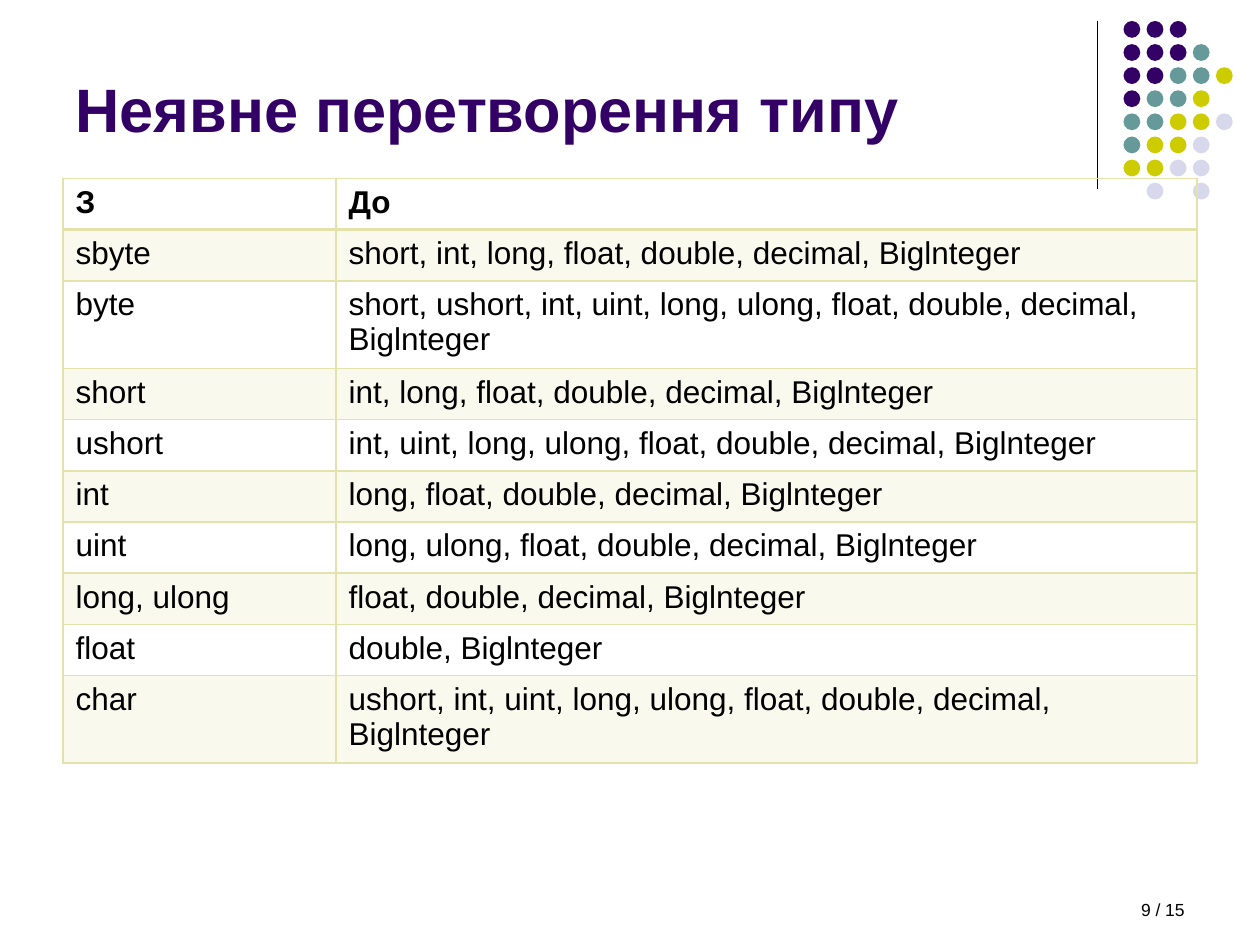
"""Build the slide on implicit type conversion with its table and dot ornament."""
import lxml.etree
import pptx
import pptx.dml.color
import pptx.enum.shapes
import pptx.enum.text
import pptx.oxml
import pptx.oxml.ns
import pptx.util

COLORS = {
    "purple": "330066",
    "teal": "669999",
    "yellow": "CCCC00",
    "lavender": "D8D8EC",
    "border": "E2E2AA",
    "black": "000000",
}
DOT_COLORS = {"P": "purple", "T": "teal", "Y": "yellow", "L": "lavender"}
DOT_ROWS = ["PPP", "PPPT", "PPTTY", "PTTY", "TTYYL", "TYYL", "YYLL", " L L"]
CONVERSIONS = [
    ("З", "До"),
    ("sbyte", "short, int, long, float, double, decimal, Biglnteger"),
    ("byte", "short, ushort, int, uint, long, ulong, float, double, decimal, Biglnteger"),
    ("short", "int, long, float, double, decimal, Biglnteger"),
    ("ushort", "int, uint, long, ulong, float, double, decimal, Biglnteger"),
    ("int", "long, float, double, decimal, Biglnteger"),
    ("uint", "long, ulong, float, double, decimal, Biglnteger"),
    ("long, ulong", "float, double, decimal, Biglnteger"),
    ("float", "double, Biglnteger"),
    ("char", "ushort, int, uint, long, ulong, float, double, decimal, Biglnteger"),
]
TWO_LINE_TYPES = ("byte", "char")

presentation = pptx.Presentation()
presentation.slide_width = pptx.util.Inches(10)
presentation.slide_height = pptx.util.Inches(7.5)
GRID = presentation.slide_width / 60


def grid(*steps):
    """Turn counts of grid steps into lengths."""
    return [pptx.util.Emu(round(step * GRID)) for step in steps]


def add_text(paragraph, text, size, color, bold=False):
    """Add one formatted run to a paragraph."""
    run = paragraph.add_run()
    run.text = text
    run.font.name = "Arial"
    run.font.size = pptx.util.Pt(size)
    run.font.bold = bold
    run.font.color.rgb = pptx.dml.color.RGBColor.from_string(COLORS[color])


slide = presentation.slides.add_slide(presentation.slide_layouts[5])

title = slide.shapes.title
title.left, title.top, title.width, title.height = grid(3, 2, 49.5, 5.2)
title.text_frame.vertical_anchor = pptx.enum.text.MSO_ANCHOR.BOTTOM
title.text_frame.auto_size = pptx.enum.text.MSO_AUTO_SIZE.NONE
title_paragraph = title.text_frame.paragraphs[0]
title_paragraph.alignment = pptx.enum.text.PP_ALIGN.LEFT
add_text(title_paragraph, "Неявне перетворення типу", 35, "purple", bold=True)

divider = slide.shapes.add_connector(
    pptx.enum.shapes.MSO_CONNECTOR.STRAIGHT, *grid(52.25, 1, 52.25, 9)
)
divider.line.color.rgb = pptx.dml.color.RGBColor.from_string(COLORS["black"])
divider.line.width = pptx.util.Pt(0.75)
lxml.etree.SubElement(divider.element.spPr, pptx.oxml.ns.qn("a:effectLst"))

dots = slide.shapes.add_group_shape()
for row, pattern in enumerate(DOT_ROWS):
    for column, code in enumerate(pattern):
        if code == " ":
            continue
        dot = dots.shapes.add_shape(
            pptx.enum.shapes.MSO_SHAPE.OVAL,
            *grid(53.5 + 1.1 * column, 1 + 1.1 * row, 0.8, 0.8),
        )
        dot.shadow.inherit = False
        dot.fill.solid()
        dot.fill.fore_color.rgb = pptx.dml.color.RGBColor.from_string(
            COLORS[DOT_COLORS[code]]
        )
        dot.line.fill.background()

table = slide.shapes.add_table(
    len(CONVERSIONS), 2, *grid(3, 8.5, 54, 27.86)
).table
table.first_row = False
table.horz_banding = False
for table_column, width in zip(table.columns, grid(13, 41)):
    table_column.width = width

for row, texts in enumerate(CONVERSIONS):
    table.rows[row].height = pptx.util.Pt(50.2 if texts[0] in TWO_LINE_TYPES else 29.25)
    for column, text in enumerate(texts):
        cell = table.cell(row, column)
        add_text(cell.text_frame.paragraphs[0], text, 18, "black", bold=row == 0)
        properties = cell._tc.get_or_add_tcPr()
        for side in ("L", "R", "T", "B"):
            thick = (row, side) in ((0, "B"), (1, "T"))
            properties.append(pptx.oxml.parse_xml(
                f'<a:ln{side} {pptx.oxml.ns.nsdecls("a")} w="{pptx.util.Pt(2 if thick else 1)}">'
                f'<a:solidFill><a:srgbClr val="{COLORS["border"]}"/></a:solidFill></a:ln{side}>'
            ))
        if row % 2:
            cell.fill.solid()
            cell.fill.fore_color.rgb = pptx.dml.color.RGBColor.from_string(COLORS["border"])
            shade = properties.find(pptx.oxml.ns.qn("a:solidFill"))[0]
            lxml.etree.SubElement(shade, pptx.oxml.ns.qn("a:alpha"), val="20000")
        else:
            cell.fill.background()

page_number = slide.shapes.add_textbox(*grid(43, 42.5, 14, 1.5))
page_number.text_frame.word_wrap = True
page_paragraph = page_number.text_frame.paragraphs[0]
page_paragraph.alignment = pptx.enum.text.PP_ALIGN.RIGHT
add_text(page_paragraph, "9 / 15", 10, "black")

presentation.save("out.pptx")
